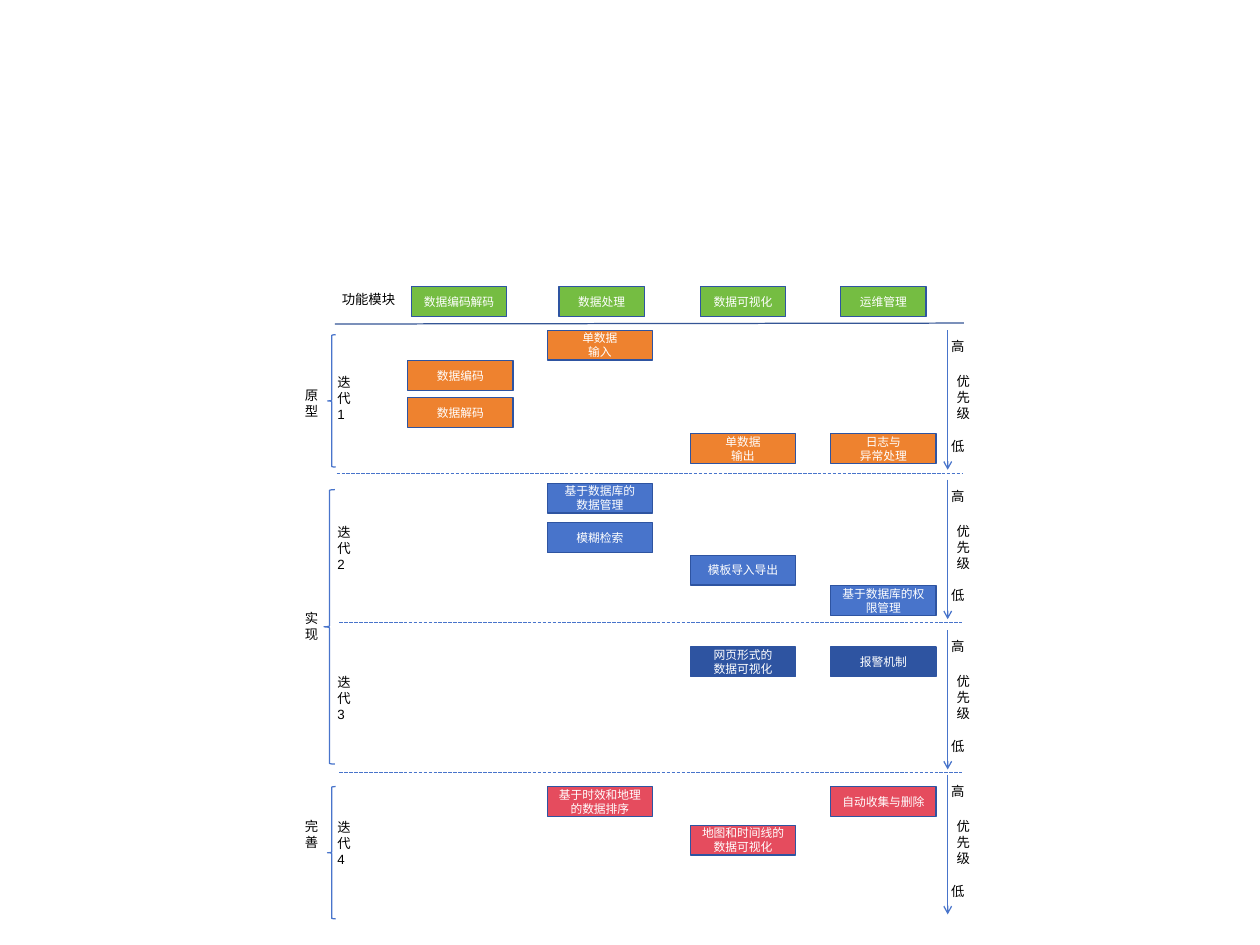
from lxml import etree
from pptx import Presentation
from pptx.dml.color import RGBColor
from pptx.enum.dml import MSO_LINE
from pptx.enum.shapes import MSO_CONNECTOR, MSO_SHAPE
from pptx.enum.text import MSO_ANCHOR, MSO_AUTO_SIZE, PP_ALIGN
from pptx.oxml.ns import qn
from pptx.util import Inches, Pt

BLACK = RGBColor(0x00, 0x00, 0x00)
WHITE = RGBColor(0xFF, 0xFF, 0xFF)
GREEN = RGBColor(0x75, 0xBD, 0x42)
ORANGE = RGBColor(0xEE, 0x82, 0x2F)
BLUE = RGBColor(0x48, 0x74, 0xCB)
NAVY = RGBColor(0x2E, 0x54, 0xA1)
SLATE = RGBColor(0x35, 0x56, 0x96)
RED = RGBColor(0xE5, 0x4C, 0x5E)

CARD_SIZE = (1.17, 0.33)
CODEC, PROCESS, VISUAL, OPERATE = 4.53, 6.08, 7.67, 9.23
MODULES = [
    ("数据编码解码", 4.57, 1.06),
    ("数据处理", 6.21, 0.95),
    ("数据可视化", 7.78, 0.95),
    ("运维管理", 9.34, 0.95),
]
# Each iteration: top of its band, card colour, cards as (text, column, offset from top)
ITERATIONS = [
    (3.67, ORANGE, [
        ("数据编码", CODEC, 0.34),
        ("数据解码", CODEC, 0.75),
        ("单数据\n输入", PROCESS, 0),
        ("单数据\n输出", VISUAL, 1.15),
        ("日志与\n异常处理", OPERATE, 1.15),
    ]),
    (5.33, BLUE, [
        ("基于数据库的\n数据管理", PROCESS, 0.04),
        ("模糊检索", PROCESS, 0.48),
        ("模板导入导出", VISUAL, 0.84),
        ("基于数据库的权限管理", OPERATE, 1.18),
    ]),
    (7.0, NAVY, [
        ("网页形式的\n数据可视化", VISUAL, 0.19),
        ("报警机制", OPERATE, 0.19),
    ]),
    (8.61, RED, [
        ("基于时效和地理的数据排序", PROCESS, 0.13),
        ("地图和时间线的数据可视化", VISUAL, 0.56),
        ("自动收集与删除", OPERATE, 0.13),
    ]),
]
# Each phase: name, top of the name, brace box
PHASES = [
    ("原型", 4.25, (3.64, 3.72, 0.09, 1.47)),
    ("实现", 6.73, (3.6, 5.44, 0.12, 3.05)),
    ("完善", 9.04, (3.64, 8.74, 0.09, 1.47)),
]
DIVIDERS = [(3.74, 5.26), (3.77, 6.92), (3.77, 8.58)]


def inches(*lengths):
    return [Inches(length) for length in lengths]


def write(frame, text, size, color, align):
    for index, line in enumerate(text.split("\n")):
        para = frame.paragraphs[0] if index == 0 else frame.add_paragraph()
        para.alignment = align
        span = para.add_run()
        span.text = line
        for name, value in {"name": "Arial", "size": Pt(size)}.items():
            setattr(span.font, name, value)
        span.font.color.rgb = color


def add_line(shapes, start, end, color, dash=None, arrow=False):
    line = shapes.add_connector(MSO_CONNECTOR.STRAIGHT, *inches(*start, *end))
    line.line.color.rgb = color
    line.line.width = Pt(1)
    if dash:
        line.line.dash_style = dash
    if arrow:
        etree.SubElement(line.line._get_or_add_ln(), qn("a:tailEnd"), type="arrow")
    etree.SubElement(line._element.spPr, qn("a:effectLst"))


def add_card(shapes, box, text, fill):
    card = shapes.add_shape(MSO_SHAPE.RECTANGLE, *inches(*box))
    card.shadow.inherit = False
    card.fill.solid()
    card.fill.fore_color.rgb = fill
    card.line.color.rgb = NAVY
    card.line.width = Pt(1)
    frame = card.text_frame
    for name, value in {"word_wrap": True, "vertical_anchor": MSO_ANCHOR.MIDDLE}.items():
        setattr(frame, name, value)
    write(frame, text, 9.4, WHITE, PP_ALIGN.CENTER)


def add_upright_label(shapes, left, top, text):
    """A box so narrow that each character takes its own line."""
    height = 0.1 + 0.18 * len(text)
    frame = shapes.add_textbox(*inches(left, top, 0.31, height)).text_frame
    for name, value in {"word_wrap": True, "auto_size": MSO_AUTO_SIZE.SHAPE_TO_FIT_TEXT}.items():
        setattr(frame, name, value)
    write(frame, text, 10.7, BLACK, PP_ALIGN.JUSTIFY)


def add_header(shapes, left, top):
    title = shapes.add_textbox(*inches(left, top + 0.01, 0.94, 0.39)).text_frame
    title.word_wrap = True
    write(title, "功能模块", 10.7, BLACK, PP_ALIGN.LEFT)
    for text, card_left, width in MODULES:
        add_card(shapes, (card_left, top, width, 0.34), text, GREEN)
    add_line(shapes, (left + 0.02, top + 0.42), (10.71, top + 0.41), SLATE)


def add_priority_axis(shapes, left, top):
    axis = shapes.add_group_shape().shapes
    add_line(axis, (left, top), (left, top + 1.55), BLUE, arrow=True)
    add_upright_label(axis, left, top + 0.43, "优先级")
    add_upright_label(axis, left - 0.06, top + 0.04, "高")
    add_upright_label(axis, left - 0.06, top + 1.15, "低")


def add_iteration(shapes, top, number, color, cards):
    add_upright_label(shapes, 3.65, top + 0.44, f"迭代{number}")
    for text, left, offset in cards:
        add_card(shapes, (left, top + offset, *CARD_SIZE), text, color)
    add_priority_axis(shapes, 10.53, top)


def add_phase(shapes, name, top, brace_box):
    add_upright_label(shapes, 3.29, top, name)
    brace = shapes.add_shape(MSO_SHAPE.LEFT_BRACE, *inches(*brace_box))
    brace.shadow.inherit = False
    brace.fill.background()
    brace.line.color.rgb = BLUE
    brace.line.width = Pt(1)


def main():
    deck = Presentation()
    deck.slide_width, deck.slide_height = inches(14, 10.5)
    page = deck.slides.add_slide(deck.slide_layouts[6])
    add_header(page.shapes, 3.7, 3.18)
    for left, top in DIVIDERS:
        add_line(page.shapes, (left, top), (10.69, top), BLUE, dash=MSO_LINE.SQUARE_DOT)
    for number, (top, color, cards) in enumerate(ITERATIONS, start=1):
        add_iteration(page.shapes, top, number, color, cards)
    for phase in PHASES:
        add_phase(page.shapes, *phase)
    deck.save("out.pptx")


if __name__ == "__main__":
    main()
